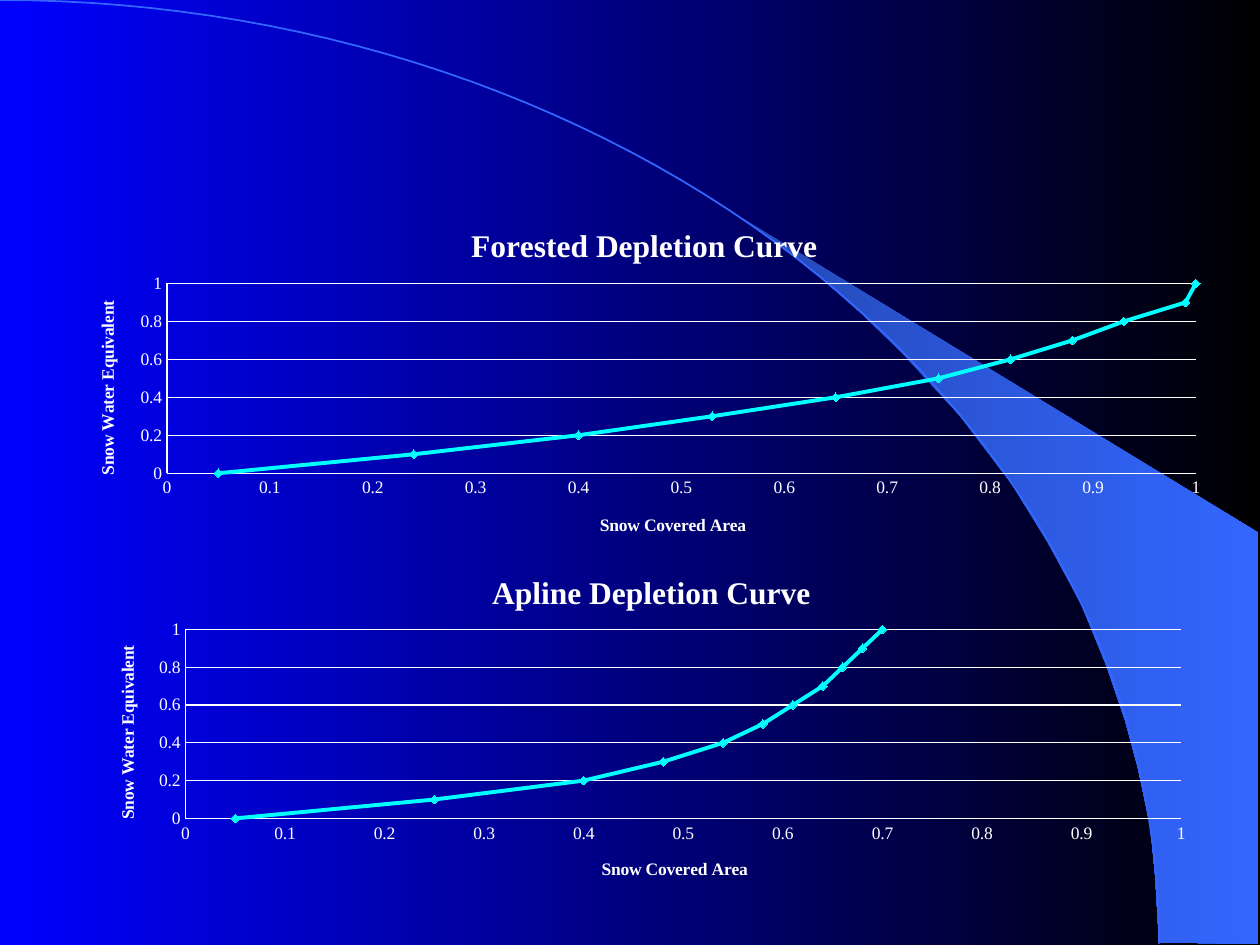
from math import cos, pi, sin

from lxml.etree import SubElement
from pptx import Presentation
from pptx.chart.data import XyChartData
from pptx.dml.color import RGBColor
from pptx.enum.chart import XL_CHART_TYPE as ChartType
from pptx.enum.chart import XL_MARKER_STYLE as Marker
from pptx.enum.chart import XL_TICK_MARK as TickMark
from pptx.oxml.ns import qn
from pptx.util import Pt

# Content: boxes are left, top, width, height; spots are left, top; all in points
WATER = [step / 10 for step in range(11)]
X_TITLE, Y_TITLE = "Snow Covered Area", "Snow Water Equivalent"
CHARTS = [
    dict(title="Forested Depletion Curve",
         area=[0.05, 0.24, 0.4, 0.53, 0.65, 0.75, 0.82, 0.88, 0.93, 0.99, 1],
         box=(36, 113.8, 663, 203.8), plot=(95.4, 162, 588, 108.5),
         title_at=(266, 126), x_title_at=(341, 291.5), y_title_at=(53, 170)),
    dict(title="Apline Depletion Curve",
         area=[0.05, 0.25, 0.4, 0.48, 0.54, 0.58, 0.61, 0.64, 0.66, 0.68, 0.7],
         box=(48.2, 311.8, 642.2, 203.8), plot=(106, 359.7, 569, 108),
         title_at=(278, 324), x_title_at=(342, 488.5), y_title_at=(64.5, 367)),
]
WEDGE = [(662.4, 538.6), (719.3, 539.3), (719.3, 304.6), (424.1, 124.6),
         (449.3, 143.3), (470.2, 159.8), (493.2, 180), (515.5, 201.6),
         (548.6, 237.6), (578.2, 276.5), (599, 310.3), (617.8, 344.9),
         (632.2, 380.2), (643, 411.8), (650.2, 438.5), (657.4, 472.3),
         (660.2, 501.1)]
ARC_WIDTH, ARC_HEIGHT, ARC_STEPS = 662.4, 539.3, 60
FONT, WHITE, CYAN, BLUE = "Times New Roman", "FFFFFF", "00FFFF", "3366FF"


def color(value):
    return RGBColor.from_string(value)


def paint_gradient(fill, *stops):
    fill.gradient()
    fill.gradient_angle = 0
    for stop, value in zip(fill.gradient_stops, stops):
        stop.color.rgb = color(value)


def paint_line(line, value, width):
    line.color.rgb = color(value)
    line.width = Pt(width)


def write(frame, text, size=10, bold=True, fill=WHITE):
    span = frame.paragraphs[0].add_run()
    span.text = text
    font = span.font
    font.name, font.size, font.bold = FONT, Pt(size), bold
    font.color.rgb = color(fill)


def draw_outline(page, points, close):
    builder = page.shapes.build_freeform(Pt(points[0][0]), Pt(points[0][1]))
    builder.add_line_segments([(Pt(x), Pt(y)) for x, y in points[1:]], close=close)
    shape = builder.convert_to_shape()
    shape.shadow.inherit = False
    return shape


def set_layout(parent, index, box, left, top, size=None):
    """Fix a chart part at a slide position, as fractions of the chart box."""
    old = parent.find(qn("c:layout"))
    if old is not None:
        parent.remove(old)
    layout = parent.makeelement(qn("c:layout"))
    parent.insert(index, layout)
    manual = SubElement(layout, qn("c:manualLayout"))
    values = [("xMode", "edge"), ("yMode", "edge"),
              ("x", (left - box[0]) / box[2]), ("y", (top - box[1]) / box[3])]
    if size:
        values.insert(0, ("layoutTarget", "inner"))
        values += [("w", size[0] / box[2]), ("h", size[1] / box[3])]
    for name, value in values:
        SubElement(manual, qn("c:" + name)).set("val", str(value))


def add_title(owner, text, size, box, spot):
    title = owner.chart_title if hasattr(owner, "chart_title") else owner.axis_title
    write(title.text_frame, text, size)
    element = title.text_frame._txBody.getparent().getparent()
    set_layout(element, 1, box, *spot)


def format_axis(axis, unit, grid):
    axis.minimum_scale, axis.maximum_scale, axis.major_unit = 0, 1, unit
    axis.has_major_gridlines = grid
    axis.major_tick_mark = axis.minor_tick_mark = TickMark.NONE
    axis.tick_labels.number_format = "General"
    axis.tick_labels.number_format_is_linked = False
    paint_line(axis.format.line, WHITE, 0.75)
    if grid:
        paint_line(axis.major_gridlines.format.line, WHITE, 0.75)


def add_curve(page, item):
    box = item["box"]
    data = XyChartData()
    points = data.add_series("Series 1")
    for area, water in zip(item["area"], WATER):
        points.add_data_point(area, water)
    chart = page.shapes.add_chart(
        ChartType.XY_SCATTER_SMOOTH, *[Pt(v) for v in box], data).chart
    chart.has_legend = False
    chart.font.name, chart.font.size = FONT, Pt(10)
    chart.font.color.rgb = color(WHITE)

    # Axes, titles and plot position
    format_axis(chart.category_axis, 0.1, False)
    format_axis(chart.value_axis, 0.2, True)
    add_title(chart, item["title"], 18, box, item["title_at"])
    add_title(chart.category_axis, X_TITLE, 10, box, item["x_title_at"])
    add_title(chart.value_axis, Y_TITLE, 10, box, item["y_title_at"])
    plot_area = chart.element.find(".//" + qn("c:plotArea"))
    set_layout(plot_area, 0, box, *item["plot"][:2], size=item["plot"][2:])

    # Curve and markers
    plot = chart.plots[0]
    plot.vary_by_categories = False
    series = plot.series[0]
    series.smooth = True
    paint_line(series.format.line, CYAN, 2.25)
    marker = series.marker
    marker.style, marker.size = Marker.DIAMOND, 5
    marker.format.fill.solid()
    marker.format.fill.fore_color.rgb = color(CYAN)
    marker.format.line.color.rgb = color(CYAN)


def main():
    deck = Presentation()
    deck.slide_width, deck.slide_height = Pt(720), Pt(540)
    page = deck.slides.add_slide(deck.slide_layouts[6])

    # Backdrop: gradient, wedge and quarter ellipse
    paint_gradient(page.background.fill, "0000FF", "000000")
    wedge = draw_outline(page, WEDGE, True)
    paint_gradient(wedge.fill, "2449B6", BLUE)
    wedge.line.fill.background()
    angles = [pi / 2 * step / ARC_STEPS for step in range(ARC_STEPS + 1)]
    arc = draw_outline(page, [(ARC_WIDTH * sin(a), ARC_HEIGHT * (1 - cos(a)))
                              for a in angles], False)
    arc.fill.background()
    paint_line(arc.line, BLUE, 1)

    # Charts
    for item in CHARTS:
        add_curve(page, item)
    deck.save("out.pptx")


if __name__ == "__main__":
    main()
